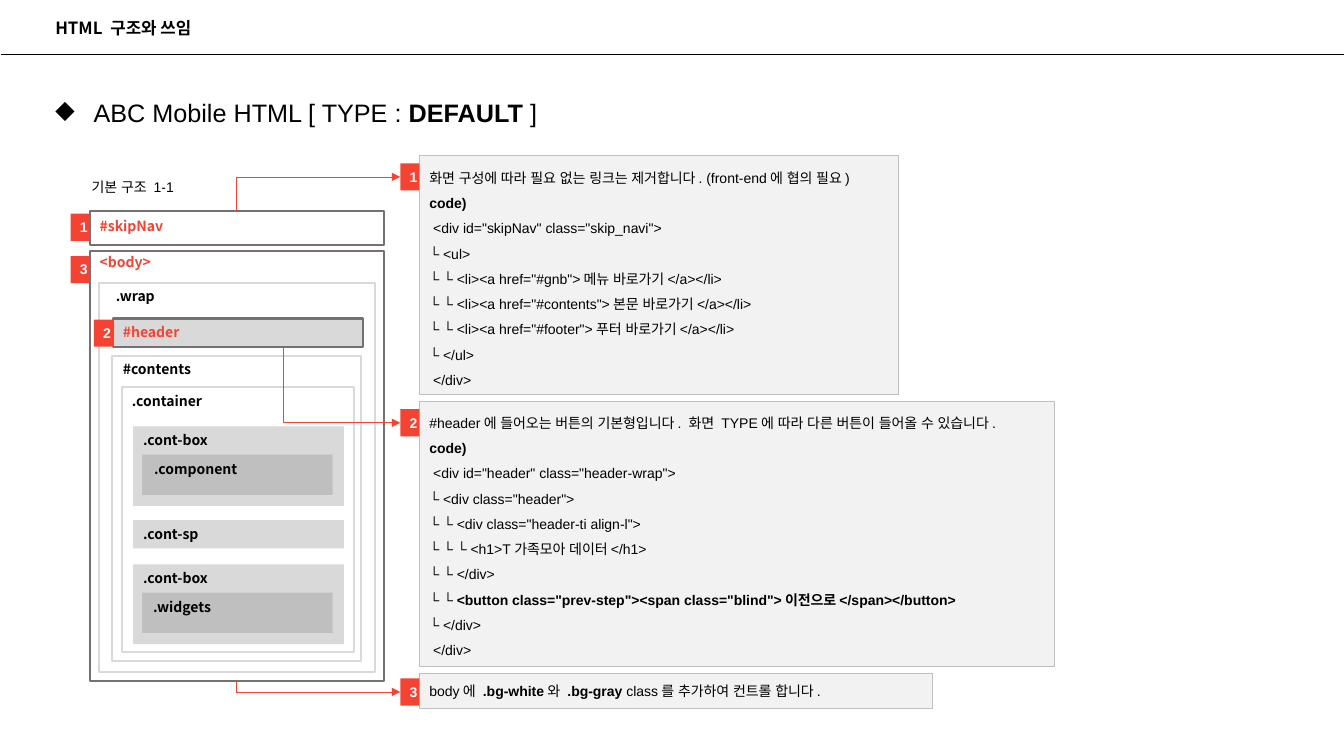
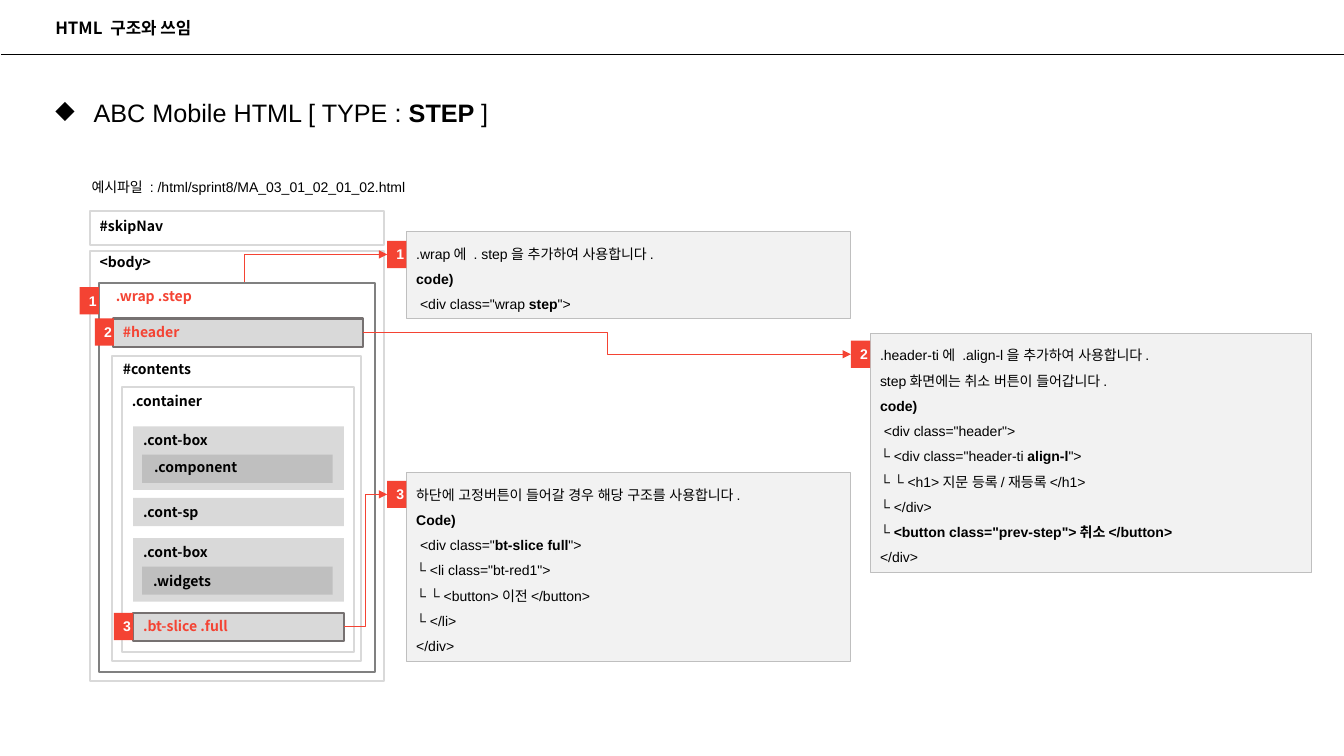
"""Build two slides that explain the HTML structure of mobile page types."""
from lxml.etree import SubElement
from pptx import Presentation
from pptx.dml.color import RGBColor
from pptx.enum.shapes import MSO_CONNECTOR, MSO_SHAPE
from pptx.enum.text import MSO_ANCHOR, MSO_AUTO_SIZE, PP_ALIGN
from pptx.oxml.ns import qn
from pptx.util import Inches, Pt

COLORS = {
    "black": "000000", "white": "FFFFFF", "red": "F44333", "dark": "767171",
    "step": "808080", "light": "D9D9D9", "inner": "BFBFBF", "note": "F2F2F2",
}
BODY_FONT = "Arial"
LABEL_FONT = "Noto Sans CJK KR"
BADGE_WIDTH, BADGE_HEIGHT = 0.19, 0.27


def color(name):
    return RGBColor.from_string(COLORS[name])


def write(box, text, size=10, font=BODY_FONT, ink="black", bold=False, spacing=None,
          align=PP_ALIGN.LEFT, anchor=MSO_ANCHOR.TOP, bullet=None, grow=True):
    frame = box.text_frame
    frame.word_wrap = True
    frame.vertical_anchor = anchor
    if grow:
        frame.auto_size = MSO_AUTO_SIZE.SHAPE_TO_FIT_TEXT
    for index, line in enumerate(text.split("\n")):
        para = frame.add_paragraph() if index else frame.paragraphs[0]
        para.alignment = align
        if spacing:
            para.line_spacing = spacing
        if bullet:
            properties = para._p.get_or_add_pPr()
            properties.set("marL", str(Inches(0.38)))
            properties.set("indent", str(Inches(-0.38)))
            SubElement(properties, qn("a:buChar"), char=bullet)
        for part, piece in enumerate(line.split("**")):
            if not piece:
                continue
            span = para.add_run()
            span.text = piece
            span.font.size = Pt(size)
            span.font.name = font
            span.font.bold = bold or part % 2 == 1
            span.font.color.rgb = color(ink)
            SubElement(span._r.get_or_add_rPr(), qn("a:ea"), typeface=font)


class StructureDeck:
    def __init__(self):
        self.deck = Presentation()
        self.deck.slide_width = Inches(13.33)
        self.deck.slide_height = Inches(7.5)
        self.page = None

    def start_page(self, page_type, caption):
        self.page = self.deck.slides.add_slide(self.deck.slide_layouts[6])
        self.text(0.45, 0, 11.23, 0.58, "HTML 구조와 쓰임", size=12, font=LABEL_FONT,
                  bold=True, spacing=0.9, anchor=MSO_ANCHOR.MIDDLE, grow=False)
        self.line(MSO_CONNECTOR.STRAIGHT, (0.01, 0.54), (13.33, 0.54), "black", 0.5)
        self.text(0.45, 0.92, 6.06, 0.4, f"ABC Mobile HTML [ TYPE : **{page_type} **]",
                  size=18, bullet="◆")
        self.text(0.81, 1.72, 6.31, 0.27, caption)

    def text(self, left, top, width, height, text, **style):
        box = self.page.shapes.add_textbox(
            Inches(left), Inches(top), Inches(width), Inches(height))
        write(box, text, **style)

    def label(self, left, top, text, ink="black"):
        self.text(left, top, 2.48, 0.27, text, font=LABEL_FONT, bold=True, ink=ink)

    def box(self, left, top, width, height, fill="white", edge=None, weight=1.5,
            text=None, **style):
        box = self.page.shapes.add_shape(
            MSO_SHAPE.RECTANGLE, Inches(left), Inches(top), Inches(width), Inches(height))
        box.shadow.inherit = False
        box.fill.solid()
        box.fill.fore_color.rgb = color(fill)
        if edge:
            box.line.color.rgb = color(edge)
            box.line.width = Pt(weight)
        else:
            box.line.fill.background()
        if text:
            write(box, text, **style)

    def bar(self, left, top, width, height, text, edge=None, ink="black", **style):
        self.box(left, top, width, height, "light", edge, text=text, font=LABEL_FONT,
                 bold=True, ink=ink, **style)

    def card(self, top, height, text, inner_height, inner_left, inner_text, shift=0.29):
        self.bar(1.32, top, 2.09, height, text)
        self.box(1.41, top + 0.28, 1.89, inner_height, "inner")
        self.label(inner_left, top + shift, inner_text)

    def badge(self, left, top, number):
        self.box(left, top, BADGE_WIDTH, BADGE_HEIGHT, "red", text=str(number),
                 ink="white", bold=True, align=PP_ALIGN.CENTER)

    def line(self, kind, start, end, ink, weight):
        line = self.page.shapes.add_connector(kind, *map(Inches, start + end))
        line.line.color.rgb = color(ink)
        line.line.width = Pt(weight)
        SubElement(line._element.spPr, qn("a:effectLst"))
        return line

    def arrow(self, start, end, bend, weight):
        arrow = self.line(MSO_CONNECTOR.ELBOW, start, end, "red", weight)
        SubElement(arrow.get_or_add_ln(), qn("a:tailEnd"), type="triangle")
        guides = arrow._element.spPr.find(qn("a:prstGeom")).get_or_add_avLst()
        SubElement(guides, qn("a:gd"), name="adj1", fmla=f"val {round(bend * 100000)}")

    def note(self, number, left, top, width, height, text, start, bend=0, weight=0.25,
             drop=0.08, spacing=1.5, anchor=MSO_ANCHOR.TOP):
        self.box(left, top, width, height, "note", "inner", 0.75, text,
                 spacing=spacing, anchor=anchor)
        badge_left, badge_top = left - BADGE_WIDTH, top + drop
        self.arrow(start, (badge_left, badge_top + BADGE_HEIGHT / 2), bend, weight)
        self.badge(badge_left, badge_top, number)

    def structure(self, outer_edge, outer_ink, wrap_edge, wrap_ink, wrap_text):
        for left, top, width, height, edge in (
                (0.89, 2.09, 2.92, 0.34, outer_edge),
                (0.89, 2.49, 2.92, 4.27, outer_edge),
                (0.98, 2.81, 2.74, 3.86, wrap_edge),
                (1.11, 3.53, 2.47, 3.03, "light"),
                (1.21, 3.84, 2.3, 2.63, "light")):
            self.box(left, top, width, height, edge=edge)
        self.label(0.89, 2.11, "#skipNav", outer_ink)
        self.label(0.89, 2.47, "<body>", outer_ink)
        self.label(1.05, 2.8, wrap_text, wrap_ink)
        self.bar(1.12, 3.16, 2.48, 0.28, "#header", "dark", "red")
        self.label(1.12, 3.53, "#contents")
        self.label(1.21, 3.84, ".container")

    def spacer(self, top):
        self.bar(1.32, top, 2.09, 0.28, ".cont-sp", anchor=MSO_ANCHOR.MIDDLE)


SKIP_NOTE = """화면 구성에 따라 필요 없는 링크는 제거합니다. (front-end에 협의 필요)
**code)**
 <div id="skipNav" class="skip_navi">
└ <ul>
└ └ <li><a href="#gnb">메뉴 바로가기</a></li>
└ └ <li><a href="#contents">본문 바로가기</a></li>
└ └ <li><a href="#footer">푸터 바로가기</a></li>
└ </ul>
 </div>"""
HEADER_NOTE = """#header에 들어오는 버튼의 기본형입니다. 화면 TYPE에 따라 다른 버튼이 들어올 수 있습니다.
**code)**
 <div id="header" class="header-wrap">
└ <div class="header">
└ └ <div class="header-ti align-l">
└ └ └ <h1>T가족모아 데이터</h1>
└ └ </div>
└ └ **<button class="prev-step"><span class="blind">이전으로</span></button>**
└ </div>
 </div>"""
BODY_NOTE = "body에 **.bg-white**와 **.bg-gray **class를 추가하여 컨트롤 합니다."
WRAP_NOTE = """.wrap에 . step을 추가하여 사용합니다.
**code)**
 <div class="wrap **step**">"""
STEP_HEADER_NOTE = """.header-ti에 .align-l을 추가하여 사용합니다.
step화면에는 취소 버튼이 들어갑니다.
**code)**
 <div class="header">
└ <div class="header-ti **align-l**">
└ └ <h1>지문 등록/재등록</h1>
└ </div>
└ **<button class="prev-step">취소</button>**
</div>"""
BUTTON_NOTE = """하단에 고정버튼이 들어갈 경우 해당 구조를 사용합니다.
**Code)**
 <div class="**bt-slice full**">
└ <li class="bt-red1">
└ └ <button>이전</button>
└ </li>
</div>"""


def build_default(deck):
    deck.start_page("DEFAULT", "기본 구조 1-1")
    deck.structure("dark", "red", "light", "black", ".wrap")
    deck.card(4.23, 0.79, ".cont-box", 0.4, 1.43, ".component")
    deck.spacer(5.16)
    deck.card(5.6, 0.79, ".cont-box", 0.4, 1.42, ".widgets")
    deck.note(1, 4.16, 1.54, 4.75, 2.37, SKIP_NOTE, (2.34, 2.09),
              anchor=MSO_ANCHOR.MIDDLE)
    deck.note(2, 4.16, 3.98, 6.3, 2.63, HEADER_NOTE, (2.81, 3.44), weight=0.5)
    deck.note(3, 4.16, 6.68, 5.09, 0.35, BODY_NOTE, (2.34, 6.76), weight=0.5,
              drop=0.05, spacing=None, anchor=MSO_ANCHOR.MIDDLE)
    for number, left, top in ((1, 0.7, 2.12), (2, 0.93, 3.17), (3, 0.7, 2.54)):
        deck.badge(left, top, number)


def build_step(deck):
    deck.start_page("STEP", "예시파일 : /html/sprint8/MA_03_01_02_01_02.html")
    deck.structure("light", "black", "step", "red", ".wrap .step")
    deck.card(4.23, 0.63, ".cont-box", 0.28, 1.43, ".component", shift=0.27)
    deck.spacer(4.94)
    deck.card(5.34, 0.63, ".cont-box", 0.28, 1.42, ".widgets")
    deck.bar(1.32, 6.08, 2.09, 0.28, ".bt-slice .full", "dark", "red")
    deck.note(1, 4.03, 2.3, 4.41, 0.86, WRAP_NOTE, (2.42, 2.8), drop=0.09)
    deck.note(2, 8.63, 3.31, 4.38, 2.37, STEP_HEADER_NOTE, (3.6, 3.3), bend=0.5,
              weight=0.5, drop=0.07)
    deck.note(3, 4.03, 4.69, 4.41, 1.87, BUTTON_NOTE, (3.41, 6.21), bend=0.5)
    for number, left, top in ((1, 0.79, 2.85), (2, 0.94, 3.16), (3, 1.13, 6.08)):
        deck.badge(left, top, number)


def main():
    structure_deck = StructureDeck()
    build_default(structure_deck)
    build_step(structure_deck)
    structure_deck.deck.save("out.pptx")


if __name__ == "__main__":
    main()
